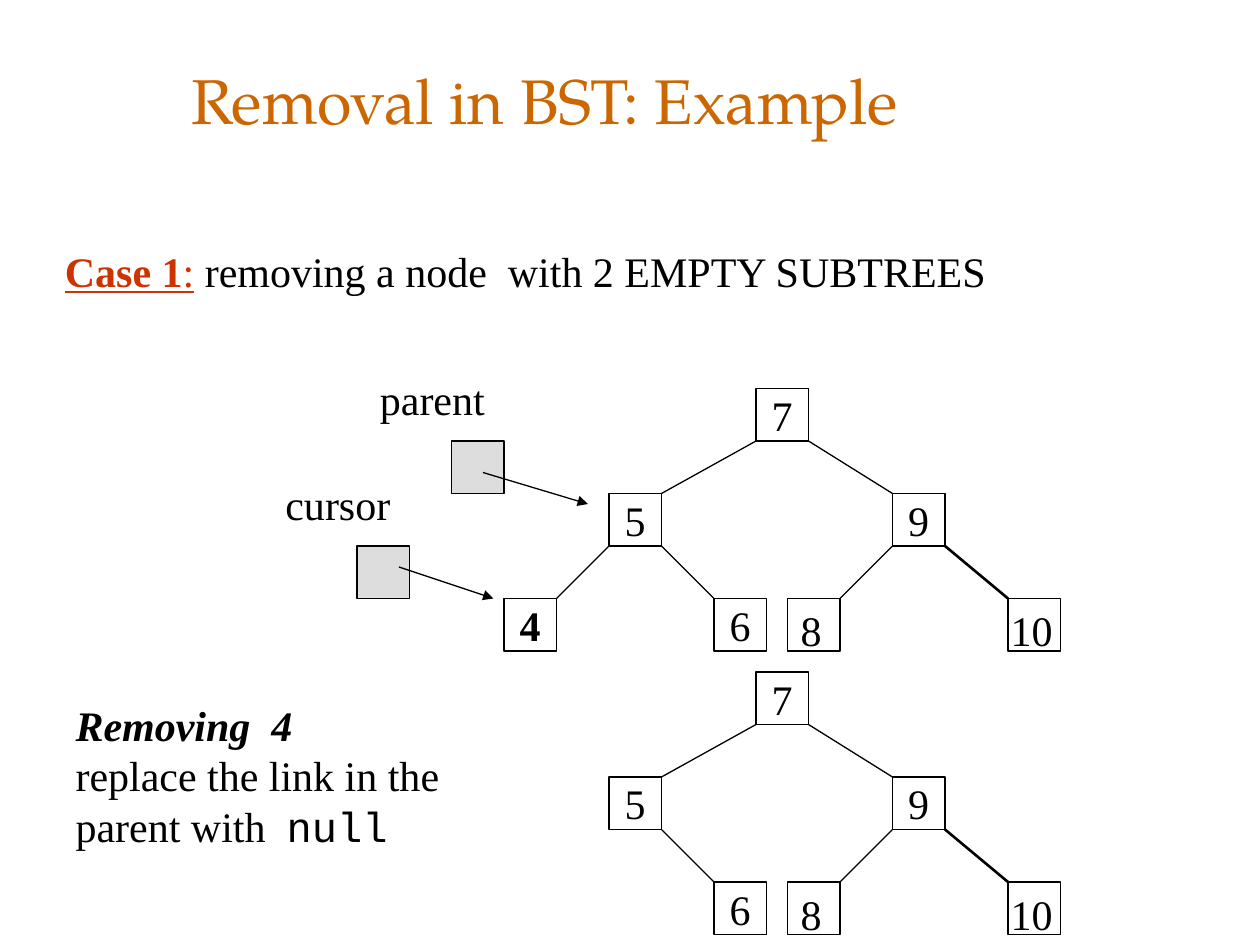
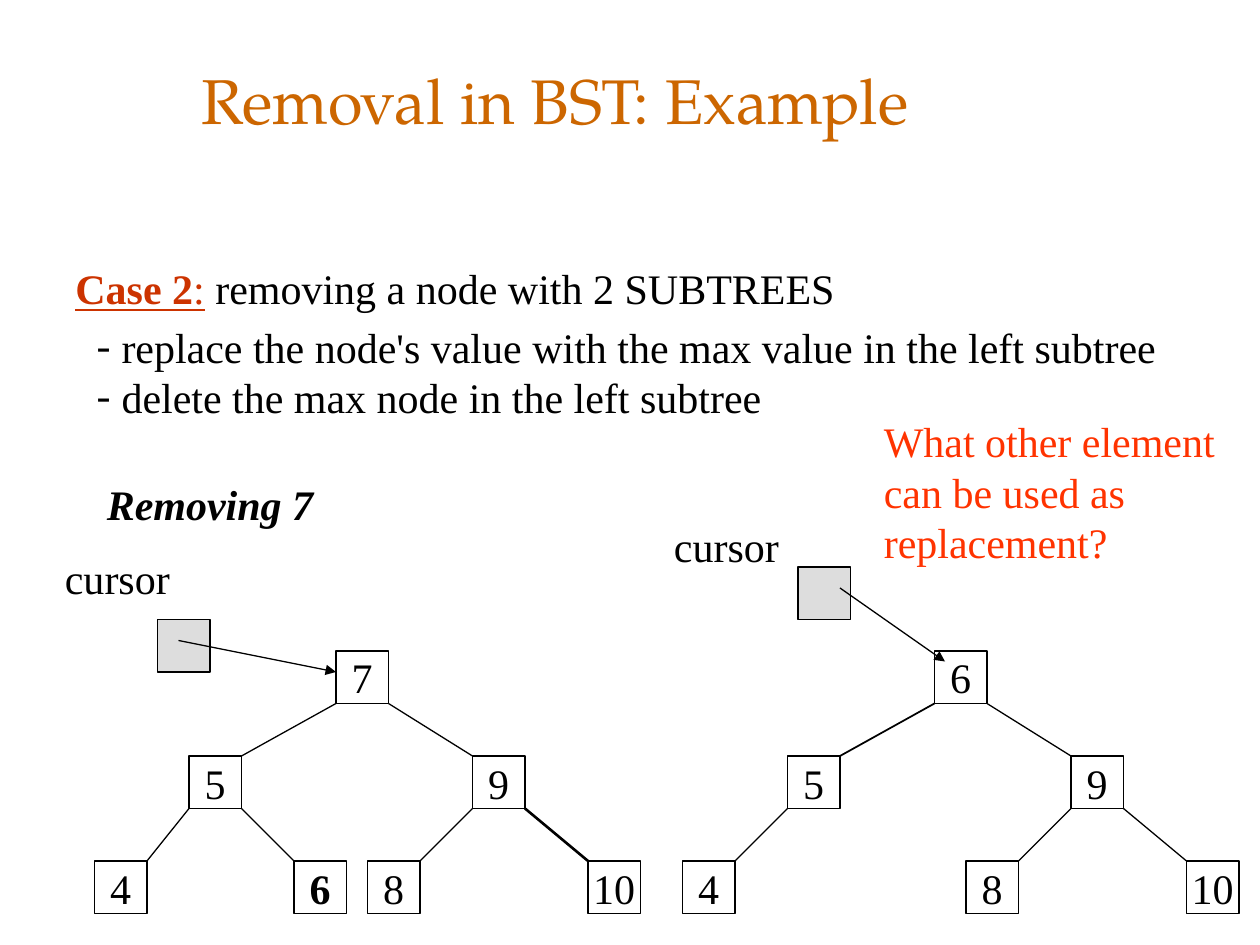
from lxml.etree import SubElement
from pptx import Presentation
from pptx.dml.color import RGBColor
from pptx.enum.shapes import MSO_CONNECTOR as Connector, MSO_SHAPE as Shape
from pptx.enum.text import MSO_ANCHOR as Anchor, MSO_AUTO_SIZE as AutoSize, PP_ALIGN as Align
from pptx.oxml.ns import qn
from pptx.util import Pt

PX = 9525
NODE = 40
LEVEL = 80
SERIF, DISPLAY, MONO = "Times New Roman", "TeX Gyre Pagella", "Courier New"
BLACK, ORANGE, BRICK, RED, GREY = "000000", "CC6600", "CC3300", "FF3300", "DDDDDD"

# value slot: (parent slot, x offset from the root, level)
TREE = {
    "root": (None, 0, 0),
    "5": ("root", -112, 1),
    "9": ("root", 104, 1),
    "4": ("5", -192, 2),
    "6": ("5", -32, 2),
    "8": ("9", 24, 2),
    "10": ("9", 192, 2),
}


def px(*lengths):
    """Turn pixel lengths into EMU."""
    return [length * PX for length in lengths]


def color(value):
    """Turn a hex string into a colour."""
    return RGBColor.from_string(value)


def write(frame, paragraphs, size=24, font=SERIF, ink=BLACK, bold=False, italic=False,
          align=Align.LEFT, anchor=Anchor.TOP, wrap=True, spacing=1.0, bullet=None):
    """Fill a text frame with paragraphs, each a string or a list of (text, changes) runs."""
    frame.auto_size = AutoSize.NONE
    frame.word_wrap = wrap
    frame.vertical_anchor = anchor
    for index, content in enumerate(paragraphs):
        paragraph = frame.add_paragraph() if index else frame.paragraphs[0]
        set_bullet(paragraph, bullet)
        paragraph.alignment = align
        paragraph.line_spacing = spacing
        paragraph.space_before = Pt(0)
        runs = [(content, {})] if isinstance(content, str) else content
        for text, changes in runs:
            style = {"font": font, "ink": ink, "bold": bold, "italic": italic,
                     "underline": False, **changes}
            run = paragraph.add_run()
            run.text = text
            run.font.size = Pt(size)
            run.font.name = style["font"]
            run.font.color.rgb = color(style["ink"])
            run.font.bold = style["bold"]
            run.font.italic = style["italic"]
            run.font.underline = style["underline"]


def set_bullet(paragraph, bullet):
    """Give a paragraph a hanging bullet, or none."""
    properties = paragraph._p.get_or_add_pPr()
    hang = 19 * PX if bullet else 0
    properties.set("marL", str(hang))
    properties.set("indent", str(-hang))
    if bullet:
        SubElement(properties, qn("a:buFont"), typeface=SERIF)
        SubElement(properties, qn("a:buChar"), char=bullet)
    else:
        SubElement(properties, qn("a:buNone"))


def add_label(slide, box, paragraphs, **style):
    """Add a text box."""
    write(slide.shapes.add_textbox(*px(*box)).text_frame, paragraphs, **style)


def fill_placeholder(placeholder, box, paragraphs, **style):
    """Move a placeholder and write into it."""
    placeholder.left, placeholder.top, placeholder.width, placeholder.height = px(*box)
    write(placeholder.text_frame, paragraphs, **style)


def add_line(slide, start, end, weight=0.75, arrow=False):
    """Draw a straight line, with an arrowhead at its end if asked."""
    line = slide.shapes.add_connector(Connector.STRAIGHT, *px(*start, *end))
    line.line.color.rgb = color(BLACK)
    line.line.width = Pt(weight)
    properties = line._element.spPr
    if arrow:
        SubElement(properties.find(qn("a:ln")), qn("a:tailEnd"), type="triangle")
    SubElement(properties, qn("a:effectLst"))


def add_square(slide, left, top, fill=None):
    """Draw one outlined square."""
    square = slide.shapes.add_shape(Shape.RECTANGLE, *px(left, top, NODE, NODE))
    square.shadow.inherit = False
    square.line.color.rgb = color(BLACK)
    square.line.width = Pt(0.75)
    if fill:
        square.fill.solid()
        square.fill.fore_color.rgb = color(fill)
    else:
        square.fill.background()
    return square


def add_pointer(slide, name, name_at, square_at, start, end):
    """Draw a named reference variable with its arrow."""
    add_label(slide, (*name_at, 120, 48), [name])
    add_square(slide, *square_at, fill=GREY)
    add_line(slide, start, end, arrow=True)


def add_tree(slide, left, top, root="7", missing=None, bold=None,
             weights=None, shifts=None, insets=None):
    """Draw the search tree; insets lists the left inset of nodes set from the top left."""
    weights, shifts, insets = weights or {}, shifts or {}, insets or {}
    spots = {slot: (left + offset + shifts.get(slot, 0), top + level * LEVEL)
             for slot, (_, offset, level) in TREE.items() if slot != missing}
    for slot, (x, y) in spots.items():
        parent = TREE[slot][0]
        if parent:
            parent_x, parent_y = spots[parent]
            is_left = x < parent_x
            start = (parent_x if is_left else parent_x + NODE, parent_y + NODE)
            end = (x + NODE if is_left else x, y)
            add_line(slide, start, end, weights.get(slot, 0.75))
    for slot, spot in spots.items():
        frame = add_square(slide, *spot).text_frame
        value = root if slot == "root" else slot
        if slot in insets:
            frame.margin_left, frame.margin_right, frame.margin_bottom = px(insets[slot], 0, 0)
            write(frame, [value])
        else:
            write(frame, [value], bold=slot == bold, align=Align.CENTER,
                  anchor=Anchor.MIDDLE, wrap=False)


def add_case(slide, box, number, statement, **style):
    """Add the case heading with its underlined number."""
    mark = {"ink": BRICK, "underline": True}
    add_label(slide, box, [[(f"Case {number}", {**mark, "bold": True}), (":", mark),
                            (f" {statement}", {})]], **style)


def start_slide(deck, title_left):
    """Add a slide with the shared title and return it with its body placeholder."""
    slide = deck.slides.add_slide(deck.slide_layouts[1])
    fill_placeholder(slide.shapes.title, (title_left, 16, 816, 120),
                     ["Removal in BST: Example"], size=36, font=DISPLAY, ink=ORANGE,
                     anchor=Anchor.MIDDLE)
    return slide, slide.placeholders[1]


def build_leaf_removal(deck):
    """Build the slide on removing a node without subtrees."""
    slide, explanation = start_slide(deck, 136)
    add_case(slide, (40, 182, 760, 48), 1, "removing a node  with 2 EMPTY SUBTREES")
    look = {"weights": {"10": 1.5}, "insets": {"8": 10, "10": 2}}
    add_tree(slide, 576, 296, bold="4", **look)
    add_tree(slide, 576, 512, missing="4", **look)
    add_pointer(slide, "parent", (280, 280), (344, 336), (368, 360), (448, 384))
    add_pointer(slide, "cursor", (208, 360), (272, 416), (304, 432), (376, 456))
    fill_placeholder(explanation, (48, 528, 344, 163), [
        [("Removing  4", {"bold": True, "italic": True})],
        [("replace the link in the parent with  ", {}), ("null", {"font": MONO})],
    ])


def build_inner_removal(deck):
    """Build the slide on removing a node with two subtrees."""
    slide, steps = start_slide(deck, 144)
    add_case(slide, (48, 200, 872, 44), 2, "removing a node with 2 SUBTREES", spacing=0.9)
    fill_placeholder(steps, (64, 240, 872, 86), [
        "replace the node's value with the max value in the left subtree",
        "delete the max node in the left subtree",
    ], bullet="-")
    add_label(slide, (72, 360, 193, 48), ["Removing 7"], bold=True, italic=True)
    add_tree(slide, 256, 496, bold="6", weights={"10": 1.5}, shifts={"4": 8})
    add_tree(slide, 712, 496, root="6", missing="6", weights={"5": 1})
    add_pointer(slide, "cursor", (40, 416), (120, 472), (136, 488), (256, 512))
    add_pointer(slide, "cursor", (504, 392), (608, 432), (640, 448), (720, 504))
    add_label(slide, (664, 312, 288, 125),
              ["What other element", "can be used as", "replacement?"], ink=RED)


def main():
    """Build and save the deck."""
    deck = Presentation()
    deck.slide_width, deck.slide_height = px(960, 720)
    build_leaf_removal(deck)
    build_inner_removal(deck)
    deck.save("out.pptx")


if __name__ == "__main__":
    main()
